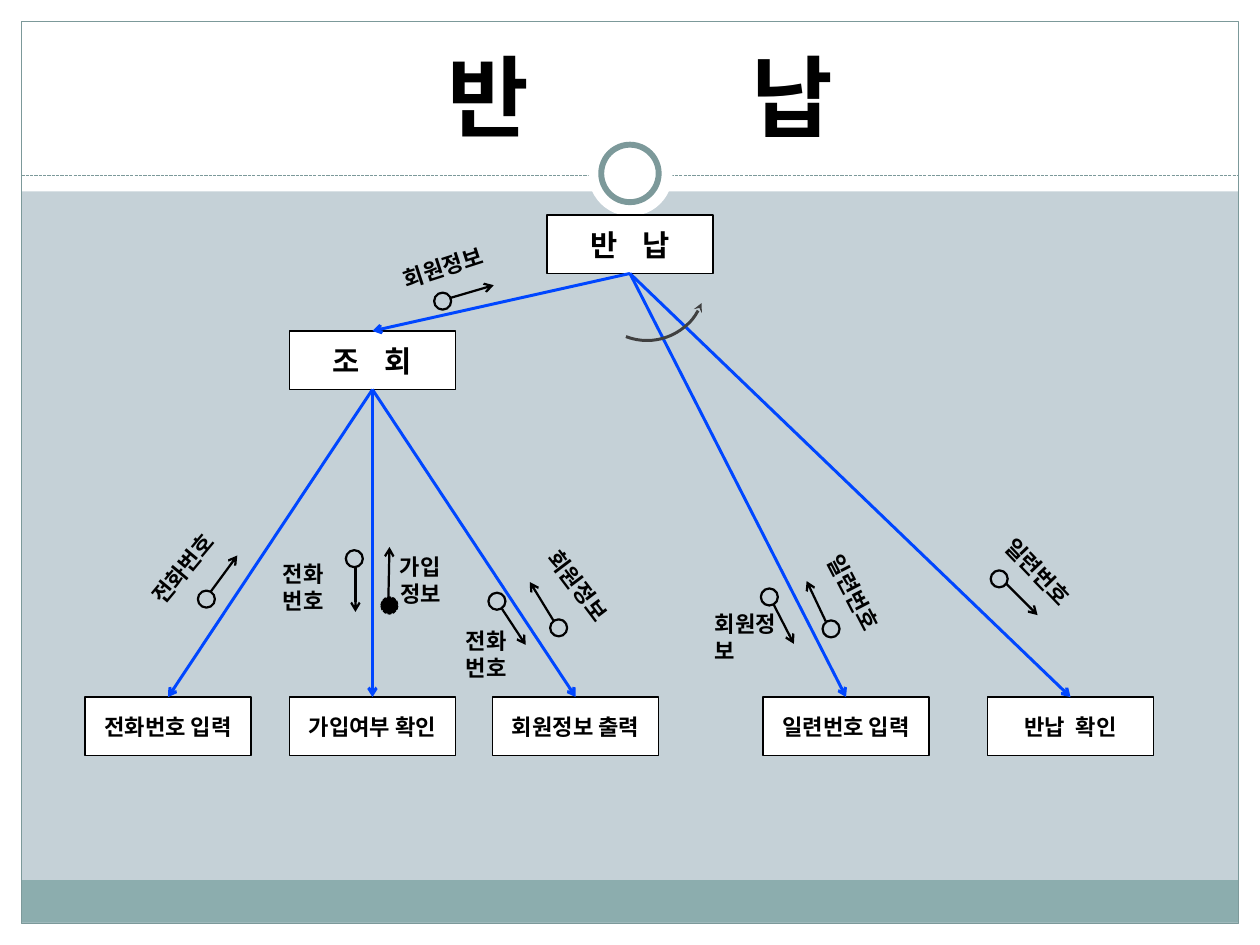
import pptx
import pptx.util
import pptx.dml.color
import pptx.enum.dml
import pptx.enum.shapes
import pptx.enum.text
import pptx.oxml.ns
from lxml import etree

Inches, Pt = pptx.util.Inches, pptx.util.Pt
SHAPE = pptx.enum.shapes.MSO_SHAPE
ALIGN = pptx.enum.text.PP_ALIGN
ANCHOR = pptx.enum.text.MSO_ANCHOR
DASH = pptx.enum.dml.MSO_LINE.SQUARE_DOT
qn = pptx.oxml.ns.qn


def color(hex_code):
    return pptx.dml.color.RGBColor.from_string(hex_code)


def write_text(frame, text, size=15, font="Noto Sans CJK KR", ink="000000", bold=True,
               align=ALIGN.LEFT, anchor=ANCHOR.TOP, gap=0):
    """Fill a frame, one paragraph a line; gap widens the spaces between words by points."""
    frame.word_wrap = True
    frame.auto_size = pptx.enum.text.MSO_AUTO_SIZE.NONE
    frame.vertical_anchor = anchor
    for number, line in enumerate(text.split("\n")):
        paragraph = frame.add_paragraph() if number else frame.paragraphs[0]
        paragraph.alignment = align
        for piece in line.replace(" ", "| |").split("|"):
            run = paragraph.add_run()
            run.text = piece
            run.font.size, run.font.bold, run.font.name = Pt(size), bold, font
            run.font.color.rgb = color(ink)
            properties = run.font.fill._xPr
            etree.SubElement(properties, qn("a:ea")).set("typeface", font)
            if piece == " " and gap:
                properties.set("spc", str(round(gap * 100)))


class StructureChart:
    band, edge, call, ink = "8CADAE", "7C999A", "0046FF", "000000"

    def __init__(self, slide):
        self.slide = slide
        self.shapes = slide.shapes

    def outline(self, line, hex_code, width, dashed=False):
        line.color.rgb = color(hex_code)
        line.width = Pt(width)
        if dashed:
            line.dash_style = DASH

    def arrowhead(self, line_shape, end, kind):
        etree.SubElement(line_shape.line._get_or_add_ln(), qn(end)).set("type", kind)

    def shape(self, kind, left, top, width, height, fill=None, line=None, weight=0.75,
              dashed=False, turn=0, parent=None):
        item = (parent or self.shapes).add_shape(
            kind, Inches(left), Inches(top), Inches(width), Inches(height))
        item.shadow.inherit = False
        item.rotation = turn
        if fill:
            item.fill.solid()
            item.fill.fore_color.rgb = color(fill)
        else:
            item.fill.background()
        if line:
            self.outline(item.line, line, weight, dashed)
        else:
            item.line.fill.background()
        return item

    def line(self, start, end, hex_code, weight, dashed=False, arrow=True, parent=None):
        points = [Inches(value) for value in (*start, *end)]
        item = (parent or self.shapes).add_connector(
            pptx.enum.shapes.MSO_CONNECTOR.STRAIGHT, *points)
        self.outline(item.line, hex_code, weight, dashed)
        if arrow:
            self.arrowhead(item, "a:tailEnd", "arrow")
        etree.SubElement(item.element.spPr, qn("a:effectLst"))
        return item

    def title(self, text, left, top, width, height, **style):
        heading = self.shapes.title
        heading.left, heading.top = Inches(left), Inches(top)
        heading.width, heading.height = Inches(width), Inches(height)
        self.shapes.element.append(heading.element)  # in front of the frame
        write_text(heading.text_frame, text, **style)

    def module(self, text, left, top, **style):
        box = self.shape(SHAPE.RECTANGLE, left, top, 1.56, 0.55, "FFFFFF", self.ink, 0.9)
        write_text(box.text_frame, text, align=ALIGN.CENTER, anchor=ANCHOR.MIDDLE, **style)
        return box

    def invoke(self, caller, called):
        link = self.line((0, 0), (1, 1), self.call, 2)
        link.begin_connect(caller, 2)
        link.end_connect(called, 0)

    def couple(self, left, top, start, end, control=False):
        """Small circle with an arrow: data when hollow, control when solid."""
        parts = self.shapes.add_group_shape().shapes
        self.shape(SHAPE.FLOWCHART_CONNECTOR, left, top, 0.16, 0.16,
                   self.ink if control else None, self.ink, 0.9 if control else 1.5,
                   dashed=control, parent=parts)
        self.line(start, end, self.ink, 1.5, parent=parts)

    def label(self, text, left, top, width, height=0.35, turn=0):
        box = self.shapes.add_textbox(
            Inches(left), Inches(top), Inches(width), Inches(height))
        box.rotation = turn
        write_text(box.text_frame, text)


deck = pptx.Presentation()
deck.slide_width, deck.slide_height = Inches(11.84), Inches(8.88)
slide = deck.slides.add_slide(deck.slide_layouts[5])
slide.background.fill.solid()
slide.background.fill.fore_color.rgb = color("C5D1D7")
chart = StructureChart(slide)

# Frame: white margins, bottom band, border, divider and ring
for margin in ((0, 8.68, 11.84, 0.2), (0, 0, 11.84, 1.8),
               (0, 0, 0.2, 8.88), (11.64, 0, 0.2, 8.88)):
    chart.shape(SHAPE.RECTANGLE, *margin, fill="FFFFFF")
chart.shape(SHAPE.RECTANGLE, 0.2, 8.27, 11.44, 0.4, fill=chart.band)
chart.shape(SHAPE.RECTANGLE, 0.2, 0.2, 11.44, 8.48, line=chart.edge)
chart.line((0.2, 1.65), (11.64, 1.65), chart.edge, 0.75, dashed=True, arrow=False)
chart.shape(SHAPE.OVAL, 5.53, 1.24, 0.79, 0.79, fill="FFFFFF")
chart.shape(SHAPE.OVAL, 5.65, 1.36, 0.54, 0.54, "FFFFFF", chart.edge, 4)

# Title
chart.title("반 납", 0.49, 0.46, 11.05, 0.98, size=60, align=ALIGN.CENTER,
            anchor=ANCHOR.BOTTOM, gap=137)

# Modules and the calls between them
returning = chart.module("반 납", 5.14, 2.02, size=20, gap=12)
lookup = chart.module("조 회", 2.72, 3.11, size=20, gap=12)
chart.invoke(returning, lookup)
for caller, text, left, gap in (
        (lookup, "전화번호 입력", 0.8, 0),
        (lookup, "가입여부 확인", 2.72, 0),
        (lookup, "회원정보 출력", 4.63, 0),
        (returning, "일련번호 입력", 7.17, 0),
        (returning, "반납 확인", 9.28, 4)):
    chart.invoke(caller, chart.module(text, left, 6.55, gap=gap))

# Loop mark over the repeated calls
loop = chart.shape(SHAPE.ARC, 5.53, 2.1, 1.1, 1.1, line="404040", weight=2, turn=111.1)
chart.arrowhead(loop, "a:headEnd", "stealth")

# Data and control couples
for couple in (
        (4.08, 2.75, (4.23, 2.8), (4.64, 2.68)),
        (1.86, 5.55, (1.98, 5.56), (2.23, 5.22)),
        (3.25, 5.17, (3.34, 5.33), (3.34, 5.75)),
        (3.58, 5.61, (3.65, 5.61), (3.66, 5.14), True),
        (4.59, 5.57, (4.71, 5.71), (4.94, 6.06)),
        (5.17, 5.82, (5.2, 5.83), (4.98, 5.47)),
        (7.15, 5.53, (7.27, 5.68), (7.46, 6.05)),
        (7.73, 5.83, (7.76, 5.84), (7.58, 5.46)),
        (9.31, 5.36, (9.45, 5.48), (9.75, 5.78))):
    chart.couple(*couple)

# Couple labels
for label in (
        ("회원정보", 3.68, 2.32, 1.07, 0.35, 342.1),
        ("전화번호", 1.22, 5.13, 1.07, 0.35, 309.8),
        ("전화\n번호", 2.56, 5.22, 0.74, 0.61),
        ("가입\n정보", 3.66, 5.15, 1.03, 0.61, 359.7),
        ("전화\n번호", 4.28, 5.85, 0.74, 0.61),
        ("회원정보", 4.93, 5.37, 1.07, 0.35, 52.9),
        ("회원정보", 6.62, 5.69, 0.78, 0.61),
        ("일련번호", 7.51, 5.44, 1.07, 0.35, 62.5),
        ("일련번호", 9.26, 5.22, 1.03, 0.35, 46.2)):
    chart.label(*label)

deck.save("out.pptx")
